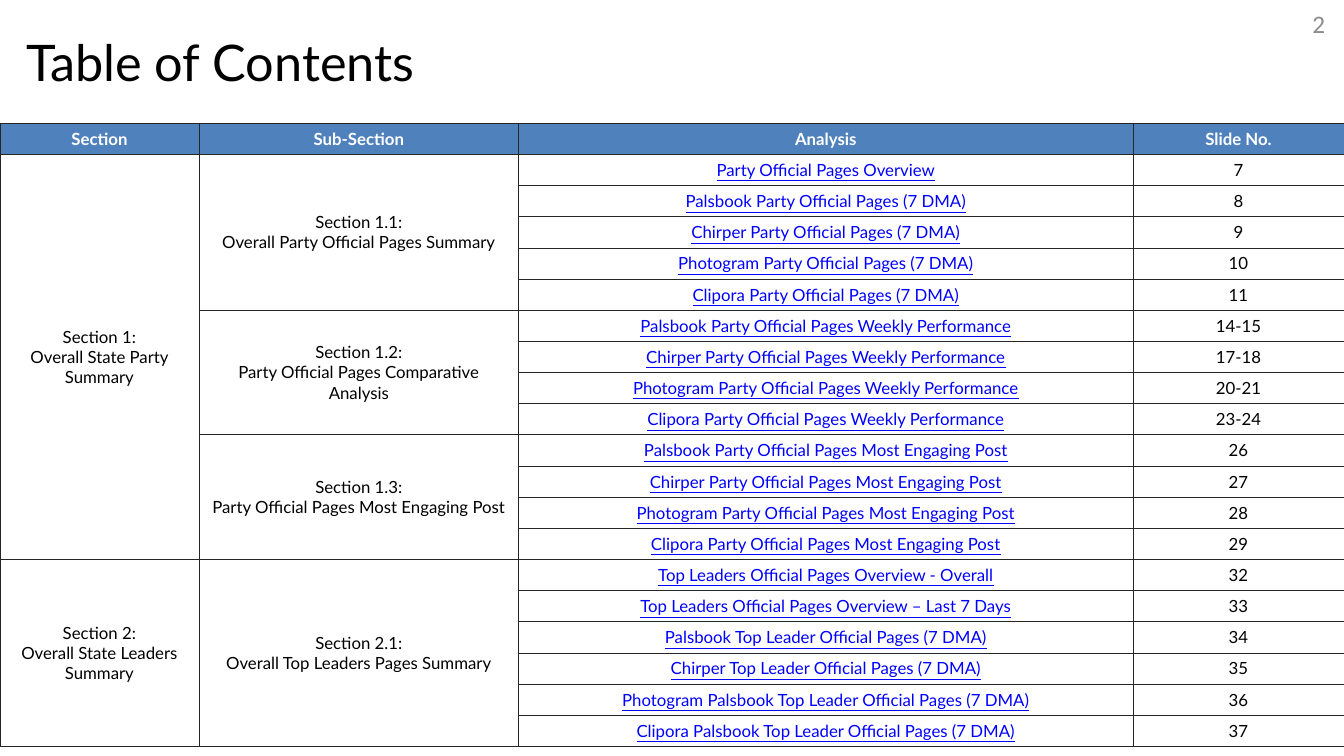
from itertools import accumulate

from lxml.etree import SubElement
from pptx import Presentation
from pptx.dml.color import RGBColor
from pptx.enum.text import MSO_ANCHOR as Anchor, MSO_AUTO_SIZE as AutoSize, PP_ALIGN as Align
from pptx.oxml.ns import qn
from pptx.util import Inches, Pt

NETWORKS = ["Palsbook", "Chirper", "Photogram", "Clipora"]
WEEKLY_SLIDES = ["14-15", "17-18", "20-21", "23-24"]


def per_network(topic, slides):
    """Pair each network's analysis of a topic with its slide numbers."""
    return [(f"{network} {topic}", str(number)) for network, number in zip(NETWORKS, slides)]


CONTENTS = [
    ("Section 1:\nOverall State Party Summary", [
        ("Section 1.1:\nOverall Party Official Pages Summary",
         [("Party Official Pages Overview", "7"),
          *per_network("Party Official Pages (7 DMA)", range(8, 12))]),
        ("Section 1.2:\nParty Official Pages Comparative Analysis",
         per_network("Party Official Pages Weekly Performance", WEEKLY_SLIDES)),
        ("Section 1.3:\nParty Official Pages Most Engaging Post",
         per_network("Party Official Pages Most Engaging Post", range(26, 30))),
    ]),
    ("Section 2:\nOverall State Leaders Summary", [
        ("Section 2.1:\nOverall Top Leaders Pages Summary",
         [("Top Leaders Official Pages Overview - Overall", "32"),
          ("Top Leaders Official Pages Overview – Last 7 Days", "33"),
          *per_network("Top Leader Official Pages (7 DMA)", [34, 35]),
          ("Photogram Palsbook Top Leader Official Pages (7 DMA)", "36"),
          ("Clipora Palsbook Top Leader Official Pages (7 DMA)", "37")]),
    ]),
]


def color(value):
    """Turn a hex string into a colour."""
    return RGBColor.from_string(value)


class ContentsSlide:
    """Style and drawing methods for one slide on a grid of 100 columns by 100 rows."""

    font = "Lato"
    ink, link, white, header, rule = "000000", "0000FF", "FFFFFF", "4F81BD", "262626"

    def __init__(self, deck):
        """Add a title-only slide to the deck."""
        self.column = deck.slide_width / 100
        self.row = deck.slide_height / 100
        self.slide = deck.slides.add_slide(deck.slide_layouts[5])

    def box(self, left, top, width, height):
        """Convert grid units to slide lengths."""
        return (round(left * self.column), round(top * self.row),
                round(width * self.column), round(height * self.row))

    def text(self, frame, words, size, ink, align, font=None, bold=False, underline=False):
        """Fill a text frame and format its runs."""
        frame.text = words
        for paragraph in frame.paragraphs:
            paragraph.alignment = align
            for run in paragraph.runs:
                run.font.name = font or self.font
                run.font.size = Pt(size)
                run.font.bold = bold
                run.font.underline = underline
                run.font.color.rgb = color(ink)

    def title(self, words, *place):
        """Move and format the title placeholder."""
        heading = self.slide.shapes.title
        heading.left, heading.top, heading.width, heading.height = self.box(*place)
        frame = heading.text_frame
        self.text(frame, words, 36, self.ink, Align.LEFT)
        frame.word_wrap = False
        frame.auto_size = AutoSize.NONE
        frame.vertical_anchor = Anchor.MIDDLE

    def page_number(self, number, *place):
        """Put the page number in the corner."""
        frame = self.slide.shapes.add_textbox(*self.box(*place)).text_frame
        frame.word_wrap = True
        frame.margin_left = frame.margin_right = frame.margin_top = frame.margin_bottom = 0
        self.text(frame, number, 18, "8C8C8C", Align.RIGHT, font="Calibri")

    def table(self, rows, widths, top, height):
        """Add a full-width ruled table."""
        place = self.box(0, top, sum(widths), height)
        table = self.slide.shapes.add_table(len(rows), len(widths), *place).table
        table.first_row = table.horz_banding = False
        edges = [round(edge * self.column) for edge in accumulate(widths, initial=0)]
        for column, start, end in zip(table.columns, edges, edges[1:]):
            column.width = end - start
        for index, entries in enumerate(rows):
            for position, words in enumerate(entries):
                self.cell(table.cell(index, position), words, index == 0, position == 2)
        return table

    def cell(self, cell, words, is_header, is_link):
        """Rule, fill and letter one table cell."""
        properties = cell._tc.get_or_add_tcPr()
        for side in ("a:lnL", "a:lnR", "a:lnT", "a:lnB"):
            line = SubElement(properties, qn(side), w=str(Pt(0.5)))
            SubElement(SubElement(line, qn("a:solidFill")), qn("a:srgbClr"), val=self.rule)
        cell.fill.solid()
        cell.fill.fore_color.rgb = color(self.header if is_header else self.white)
        cell.vertical_anchor = Anchor.MIDDLE
        ink = self.white if is_header else self.link if is_link else self.ink
        self.text(cell.text_frame, words, 12, ink, Align.CENTER,
                  bold=is_header, underline=is_link and not is_header)

    def contents(self, sections, widths, top, height):
        """Lay out sections and sub-sections as merged cells beside their analyses."""
        rows = [("Section", "Sub-Section", "Analysis", "Slide No.")]
        merges = []
        for section, subsections in sections:
            section_start = len(rows)
            for subsection, analyses in subsections:
                start = len(rows)
                for analysis, number in analyses:
                    rows.append((section if len(rows) == section_start else "",
                                 subsection if len(rows) == start else "", analysis, number))
                merges.append((1, start, len(rows) - 1))
            merges.append((0, section_start, len(rows) - 1))
        table = self.table(rows, widths, top, height)
        for position, first, last in merges:
            table.cell(first, position).merge(table.cell(last, position))


def main():
    """Build and save the deck."""
    deck = Presentation()
    deck.slide_width, deck.slide_height = Inches(13.33), Inches(7.5)
    page = ContentsSlide(deck)
    page.title("Table of Contents", 1.2, 3.3, 30.8, 9.5)
    page.contents(CONTENTS, (14.8, 23.8, 45.7, 15.7), 16.3, 82.5)
    page.page_number("2", 96.4, 1.1, 2.2, 4)
    deck.save("out.pptx")


if __name__ == "__main__":
    main()
